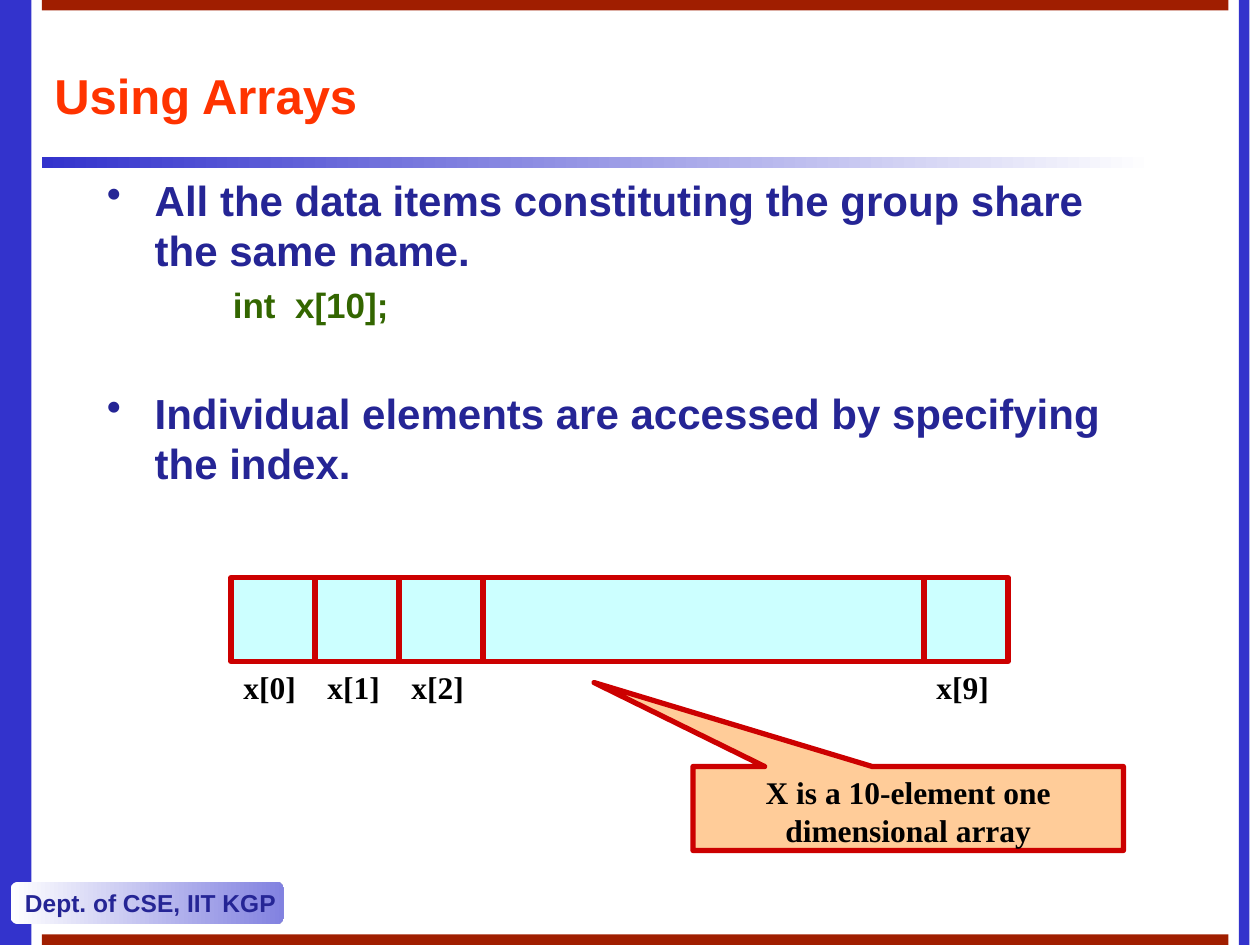
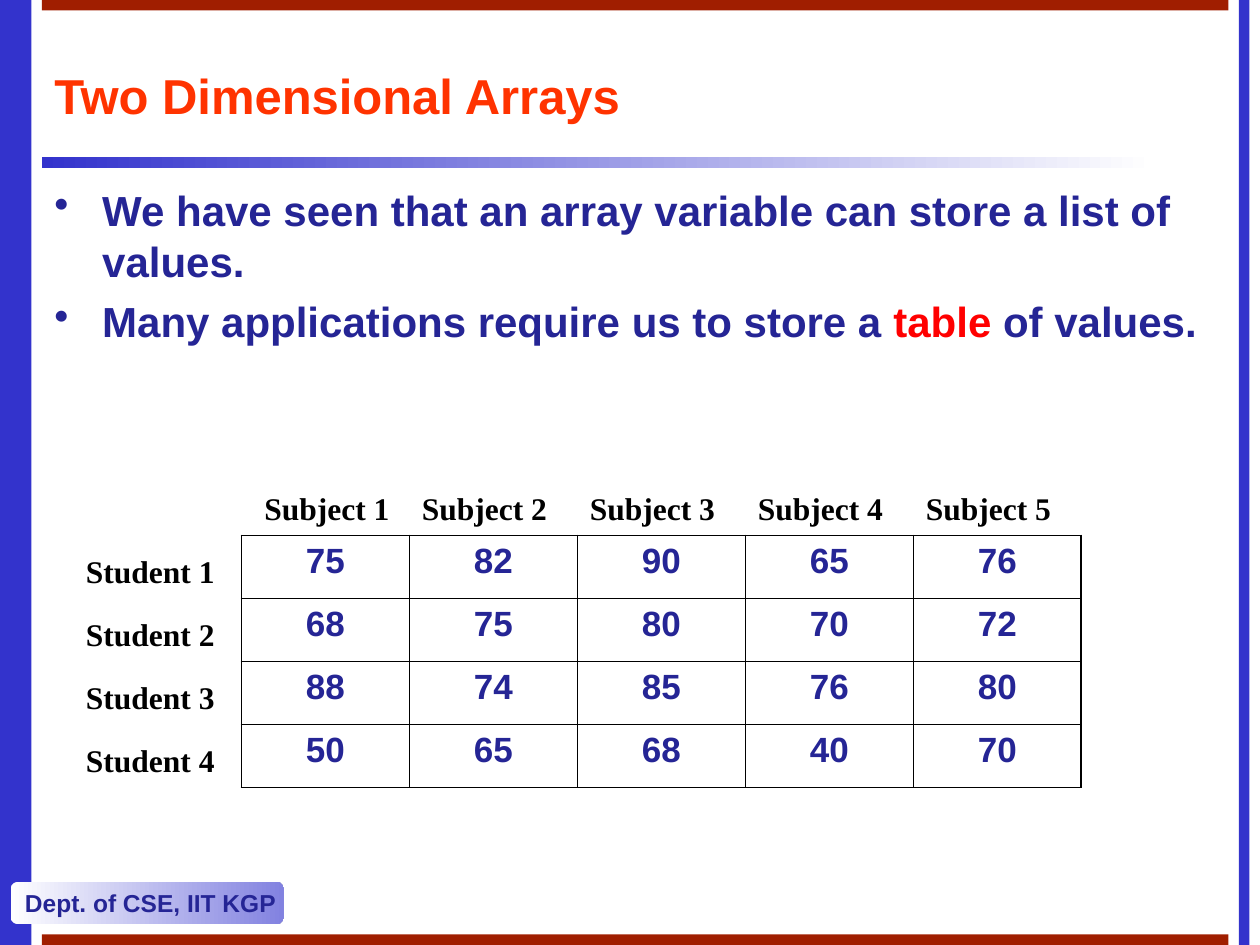
from lxml.etree import SubElement
from pptx import Presentation
from pptx.dml.color import RGBColor
from pptx.enum.shapes import MSO_CONNECTOR, MSO_SHAPE as Shape
from pptx.enum.text import MSO_ANCHOR as Anchor, PP_ALIGN as Align
from pptx.oxml import parse_xml
from pptx.oxml.ns import nsdecls, qn
from pptx.util import Inches, Pt

COLORS = {key: RGBColor.from_string(value) for key, value in {
    "blue": "3333CC", "pale blue": "8282E0", "white": "FFFFFF",
    "brown": "A01E00", "title": "FF3300", "text": "252595",
    "code": "336600", "accent": "FF0000", "black": "000000",
    "cell": "CCFFFF", "outline": "CC0000", "callout": "FFCC99",
}.items()}
SANS, SERIF = "Arial", "Times New Roman"

presentation = Presentation()
presentation.slide_width, presentation.slide_height = Inches(10), Inches(7.5)
UNIT = presentation.slide_width // 120  # the grid has 120 columns and 90 rows


def add_box(slide, kind, place, fill=None, line=None):
    """Add a shape, or a text box if kind is None; two fills make a gradient."""
    place = [round(value * UNIT) for value in place]
    if kind is None:
        return slide.shapes.add_textbox(*place)
    shape = slide.shapes.add_shape(kind, *place)
    shape.shadow.inherit = False
    if isinstance(fill, tuple):
        shape.fill.gradient()
        shape.fill.gradient_angle = 0
        for stop, name in zip(shape.fill.gradient_stops, fill):
            stop.color.rgb = COLORS[name]
    else:
        shape.fill.solid()
        shape.fill.fore_color.rgb = COLORS[fill]
    if line:
        shape.line.color.rgb = COLORS[line]
        shape.line.width = Pt(3)
    else:
        shape.line.fill.background()
    return shape


def write(holder, text, size, color, font=SANS, align=Align.LEFT,
          anchor=Anchor.TOP, wrap=True):
    """Put one bold paragraph in a shape or text box."""
    frame = holder.text_frame
    frame.word_wrap = wrap
    frame.vertical_anchor = anchor
    paragraph = frame.paragraphs[0]
    paragraph.text = text
    paragraph.alignment = align
    paragraph.font.size, paragraph.font.bold = Pt(size), True
    paragraph.font.name = font
    paragraph.font.color.rgb = COLORS[color]


# Content: title, place of the body, paragraphs (style, space before, runs)
CONTENT = [
    ("Using Arrays", (9, 16, 102, 64), [
        ("bullet", 0, [("All the data items constituting the group share "
                        "the same name.", "text")]),
        ("code", 5, [("int  x[10];", "code")]),
        ("bullet", 35, [("Individual elements are accessed by specifying "
                         "the index.", "text")]),
    ]),
    ("Two Dimensional Arrays", (4, 17, 113, 66), [
        ("bullet", 0, [("We have seen that an array variable can store "
                        "a list of values.", "text")]),
        ("bullet", 6, [("Many applications require us to store a ", "text"),
                       ("table", "accent"), (" of values.", "text")]),
    ]),
]
# Style: text size, left margin and first-line indent in inches
STYLES = {"bullet": (24, 0.38, -0.38), "code": (20, 1, 0)}

slides = []
for title, body_place, paragraphs in CONTENT:
    slide = presentation.slides.add_slide(presentation.slide_layouts[6])
    slides.append(slide)

    # Frame bands, title rule and footer
    add_box(slide, Shape.RECTANGLE, (0, 0, 3, 90), "blue")
    add_box(slide, Shape.RECTANGLE, (4, 15, 106, 1), ("blue", "white"))
    footer = add_box(slide, Shape.ROUNDED_RECTANGLE, (1, 84, 26, 4),
                     ("white", "pale blue"))
    write(footer, "Dept. of CSE, IIT KGP", 14, "text",
          anchor=Anchor.MIDDLE, wrap=False)
    add_box(slide, Shape.RECTANGLE, (118, 0, 1, 90), "blue")
    for top in (0, 89):
        add_box(slide, Shape.RECTANGLE, (4, top, 113, 1), "brown")

    # Title and body
    write(add_box(slide, None, (4, 4, 113, 10)), title, 28, "title",
          anchor=Anchor.MIDDLE)
    frame = add_box(slide, None, body_place).text_frame
    frame.word_wrap = True
    for index, (style, space, runs) in enumerate(paragraphs):
        paragraph = frame.add_paragraph() if index else frame.paragraphs[0]
        size, margin, indent = STYLES[style]
        paragraph.space_before = Pt(space)
        properties = paragraph._p.get_or_add_pPr()
        properties.set("marL", str(Inches(margin)))
        properties.set("indent", str(Inches(indent)))
        if style == "bullet":
            SubElement(properties, qn("a:buChar")).set("char", "•")
        paragraph.font.size, paragraph.font.bold = Pt(size), True
        paragraph.font.name = SANS
        for text, color in runs:
            run = paragraph.add_run()
            run.text = text
            run.font.color.rgb = COLORS[color]

array_slide, table_slide = slides

# Array strip with dividers and index labels
ARRAY_LEFT, ARRAY_TOP, CELL = 22, 55, 8
add_box(array_slide, Shape.RECTANGLE, (ARRAY_LEFT, ARRAY_TOP, 74, CELL),
        "cell", "outline")
for column in (30, 38, 46, 88):
    divider = array_slide.shapes.add_connector(
        MSO_CONNECTOR.STRAIGHT, column * UNIT, ARRAY_TOP * UNIT,
        column * UNIT, (ARRAY_TOP + CELL) * UNIT)
    divider.line.color.rgb = COLORS["outline"]
    divider.line.width = Pt(3)
    SubElement(divider._element.spPr, qn("a:effectLst"))
for index, column in {0: 22, 1: 30, 2: 38, 9: 88}.items():
    label = add_box(array_slide, None, (column, ARRAY_TOP + CELL, 9, 4.8))
    write(label, f"x[{index}]", 18, "black", SERIF)

# Callout
callout = add_box(array_slide, Shape.RECTANGULAR_CALLOUT, (66, 73, 41, 8),
                  "callout", "outline")
callout.adjustments[0], callout.adjustments[1] = -0.73, -1.5
write(callout, "X is a 10-element one dimensional array", 18, "black", SERIF,
      Align.CENTER)

# Table of marks
MARKS = [
    [75, 82, 90, 65, 76],
    [68, 75, 80, 70, 72],
    [88, 74, 85, 76, 80],
    [50, 65, 68, 40, 70],
]
ROWS, COLUMNS = len(MARKS), len(MARKS[0])
TABLE_LEFT, TABLE_TOP, COLUMN, ROW = 23, 51, 16, 6
table = table_slide.shapes.add_table(
    ROWS, COLUMNS, TABLE_LEFT * UNIT, TABLE_TOP * UNIT,
    COLUMNS * COLUMN * UNIT, ROWS * ROW * UNIT).table
table.first_row = table.horz_banding = False
for row, marks in enumerate(MARKS):
    for column, mark in enumerate(marks):
        cell = table.cell(row, column)
        write(cell, str(mark), 20, "text", align=Align.CENTER)
        cell.margin_left = cell.margin_right = Inches(0.1)
        cell.margin_top = cell.margin_bottom = Inches(0.05)
        cell.fill.background()
        outer = {"L": column == 0, "R": column == COLUMNS - 1,
                 "T": row == 0, "B": row == ROWS - 1}
        for position, (side, is_outer) in enumerate(outer.items()):
            width = Pt(1.08 if is_outer else 0.45)
            border = parse_xml(
                f'<a:ln{side} {nsdecls("a")} w="{width}"><a:solidFill>'
                f'<a:srgbClr val="{COLORS["black"]}"/></a:solidFill>'
                f'</a:ln{side}>')
            cell._tc.get_or_add_tcPr().insert(position, border)

# Row and column labels
places = [(f"Student {row + 1}", 7, TABLE_TOP + 1 + row * ROW)
          for row in range(ROWS)]
places += [(f"Subject {column + 1}", max(24, TABLE_LEFT + column * COLUMN), 46)
           for column in range(COLUMNS)]
for text, left, top in places:
    write(add_box(table_slide, None, (left, top, COLUMN, 4.8)), text, 18,
          "black", SERIF)

presentation.save("out.pptx")
